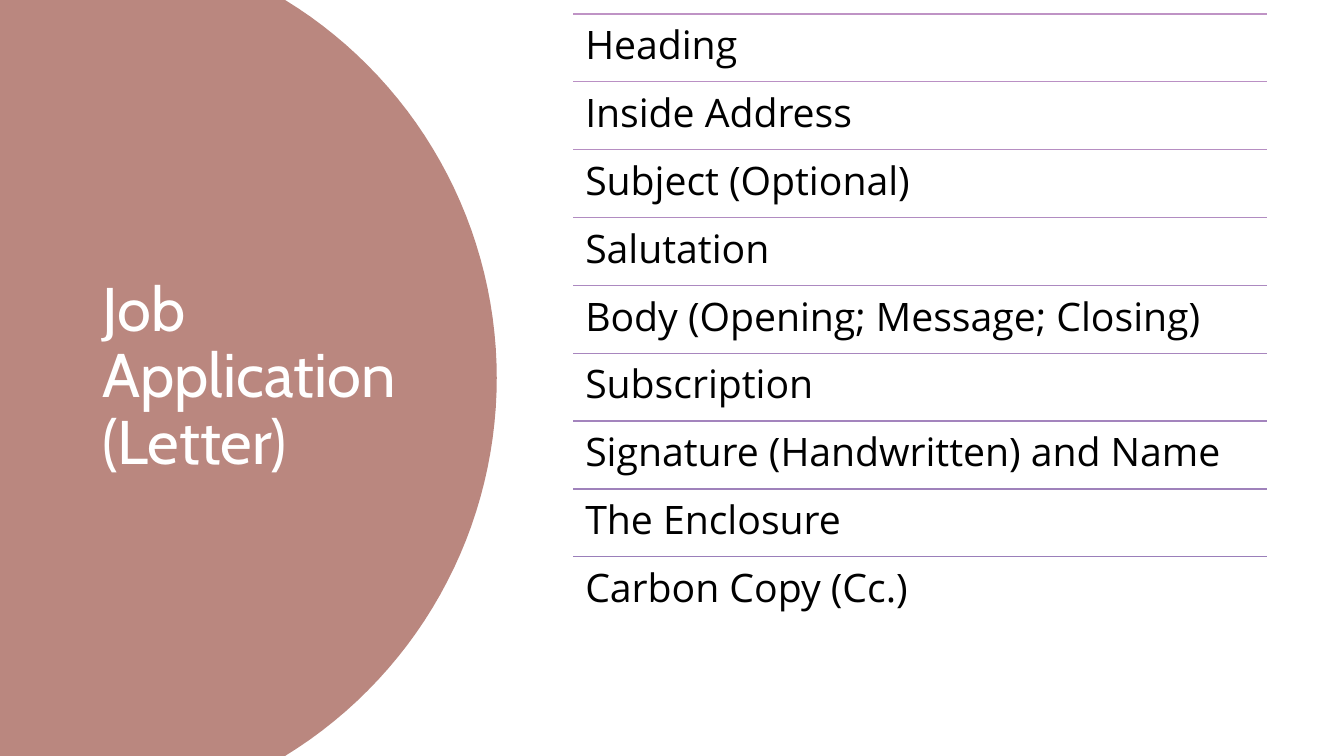
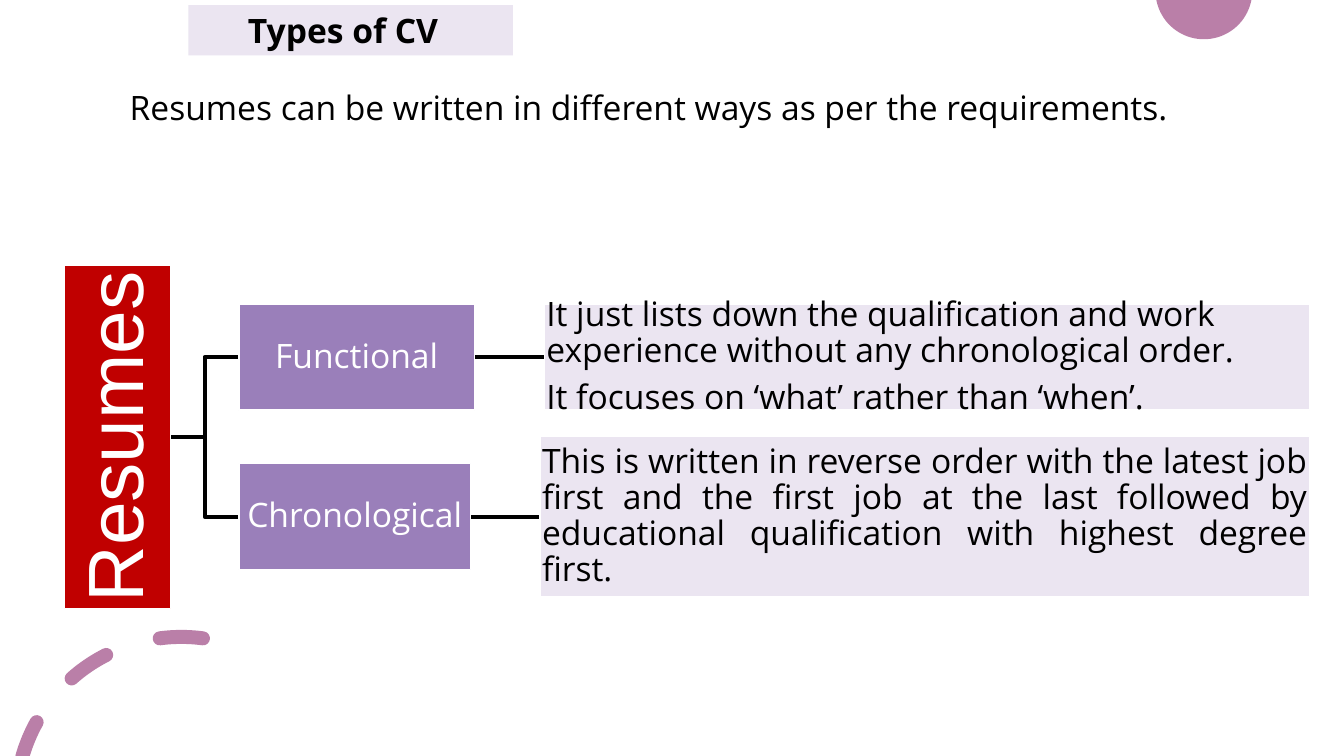
import math

from pptx import Presentation
from pptx.dml.color import RGBColor
from pptx.enum.shapes import MSO_CONNECTOR, MSO_SHAPE
from pptx.enum.text import MSO_ANCHOR, PP_ALIGN
from pptx.oxml.ns import qn
from pptx.util import Cm, Pt
from lxml import etree

RECT = MSO_SHAPE.RECTANGLE
STRAIGHT, ELBOW = MSO_CONNECTOR.STRAIGHT, MSO_CONNECTOR.ELBOW
TOP, MIDDLE = MSO_ANCHOR.TOP, MSO_ANCHOR.MIDDLE
LEFT, CENTER, JUSTIFY = PP_ALIGN.LEFT, PP_ALIGN.CENTER, PP_ALIGN.JUSTIFY

WIDTH, HEIGHT = 33.87, 19.05  # slide size in cm

COLORS = {
    "black": "000000",
    "white": "FFFFFF",
    "clay": "BA877F",
    "mauve": "BA7FA8",
    "purple": "9A7FBA",
    "lilac": "EBE5F1",
    "red": "C00000",
    "rule_first": "BF93C5",
    "rule_last": "9A7FBA",
}

# Each style: font values, paragraph values, text colour
STYLES = {
    "title": ({"name": "Cabin", "size": Pt(44)}, {"line_spacing": 0.9}, "white"),
    "item": ({"name": "Open Sans", "size": Pt(28)}, {"line_spacing": 0.9}, "black"),
    "heading": ({"name": "Open Sans", "size": Pt(24), "bold": True}, {}, "black"),
    "body": ({"name": "Open Sans", "size": Pt(24)}, {}, "black"),
    "root": ({"name": "Arial", "size": Pt(56)},
             {"line_spacing": 0.9, "alignment": CENTER}, "white"),
    "type": ({"name": "Open Sans", "size": Pt(24)},
             {"line_spacing": 0.9, "alignment": CENTER}, "white"),
    "detail": ({"name": "Open Sans", "size": Pt(24)},
               {"line_spacing": 0.9, "space_after": Pt(8)}, "black"),
}


def arc(cx, cy, radius, start, end, steps=60):
    """Points in cm along a circle; angles in degrees, clockwise from the right."""
    angles = [math.radians(start + (end - start) * i / steps) for i in range(steps + 1)]
    return [(cx + radius * math.cos(a), cy + radius * math.sin(a)) for a in angles]


def blend(first, last, share):
    """Hex colour between two hex colours."""
    pairs = [(int(first[i:i + 2], 16), int(last[i:i + 2], 16)) for i in (0, 2, 4)]
    return "".join(f"{round(a + (b - a) * share):02X}" for a, b in pairs)


class Deck:
    def __init__(self):
        self.prs = Presentation()
        self.prs.slide_width, self.prs.slide_height = Cm(WIDTH), Cm(HEIGHT)
        self.s = None

    def slide(self):
        self.s = self.prs.slides.add_slide(self.prs.slide_layouts[6])

    def rgb(self, color):
        return RGBColor.from_string(COLORS.get(color, color))

    def fill_text(self, sp, paragraphs, style, anchor=TOP, inset=(0.25, 0.13), align=LEFT):
        font, para, color = STYLES[style]
        tf = sp.text_frame
        x, y = inset
        frame = {"word_wrap": True, "vertical_anchor": anchor,
                 "margin_left": Cm(x), "margin_right": Cm(min(x, 0.25)),
                 "margin_top": Cm(y), "margin_bottom": Cm(y)}
        for name, value in frame.items():
            setattr(tf, name, value)
        for i, text in enumerate(paragraphs):
            p = tf.add_paragraph() if i else tf.paragraphs[0]
            for name, value in {"alignment": align, **para}.items():
                setattr(p, name, value)
            r = p.add_run()
            r.text = text
            for name, value in font.items():
                setattr(r.font, name, value)
            r.font.color.rgb = self.rgb(color)

    def text(self, x, y, w, h, text, style, **options):
        sp = self.s.shapes.add_textbox(Cm(x), Cm(y), Cm(w), Cm(h))
        self.fill_text(sp, [text], style, **options)

    def box(self, x, y, w, h, fill, paragraphs, style, outline=True, **options):
        sp = self.s.shapes.add_shape(RECT, Cm(x), Cm(y), Cm(w), Cm(h))
        self.paint(sp, fill)
        if outline:
            sp.line.color.rgb = self.rgb("white")
            sp.line.width = Pt(1)
        self.fill_text(sp, paragraphs, style, **options)
        return sp

    def paint(self, sp, fill):
        sp.shadow.inherit = False
        sp.fill.solid()
        sp.fill.fore_color.rgb = self.rgb(fill)
        sp.line.fill.background()

    def outline(self, points, close):
        pts = [(Cm(x), Cm(y)) for x, y in points]
        fb = self.s.shapes.build_freeform(*pts[0])
        fb.add_line_segments(pts[1:], close=close)
        return fb.convert_to_shape()

    def area(self, points, fill):
        self.paint(self.outline(points, True), fill)

    def dash(self, points, color, width):
        sp = self.outline(points, False)
        sp.shadow.inherit = False
        sp.fill.background()
        sp.line.color.rgb = self.rgb(color)
        sp.line.width = Pt(width)
        sp._element.spPr.find(qn("a:ln")).set("cap", "rnd")

    def line(self, x1, y1, x2, y2, color, width, kind=STRAIGHT):
        c = self.s.shapes.add_connector(kind, Cm(x1), Cm(y1), Cm(x2), Cm(y2))
        c.line.color.rgb = self.rgb(color)
        c.line.width = Pt(width)
        etree.SubElement(c._element.spPr, qn("a:effectLst"))

    def decoration(self):
        """Corner circle and dashed arc."""
        cy, radius = -0.23, 1.22
        edge = math.degrees(math.asin(-cy / radius))
        self.area(arc(30.34, cy, radius, edge, 180 - edge), "mauve")
        for start, end in ((196, 209), (228.5, 243), (262.5, 277.5)):
            self.dash(arc(4.57, 20.22, 4.17, start, end, 12), "mauve", 10)


def letter_slide(deck):
    deck.slide()

    # Title on the large disc
    radius = 11.17
    edge = math.degrees(math.asin(HEIGHT / 2 / radius))
    disc = arc(1.35, HEIGHT / 2, radius, -edge, edge)
    deck.area([(0, 0), *disc, (0, HEIGHT)], "clay")
    deck.text(2.33, 1.78, 8.2, 15.47, "Job Application (Letter)", "title", anchor=MIDDLE)

    # Ruled list
    parts = ["Heading", "Inside Address", "Subject (Optional)", "Salutation",
             "Body (Opening; Message; Closing)", "Subscription",
             "Signature (Handwritten) and Name", "The Enclosure", "Carbon Copy (Cc.)"]
    x, top, width, step = 14.45, 0.35, 17.48, 1.71
    for i, part in enumerate(parts):
        y = top + i * step
        color = blend(COLORS["rule_first"], COLORS["rule_last"], i / (len(parts) - 1))
        deck.line(x, y, x + width, y, color, 1)
        deck.text(x, y, width, step, part, "item", inset=(0.3, 0.3))


def resume_slide(deck):
    deck.slide()
    deck.decoration()

    # Heading and introduction
    deck.box(4.75, 0.13, 8.18, 1.27, "lilac", ["Types of CV"], "heading",
             outline=False, inset=(1.5, 0.13))
    deck.text(3.02, 2.06, 30.84, 1.27,
              "Resumes can be written in different ways as per the requirements.", "body")

    # Tree: type, middle, type width, detail left, detail height, alignment, detail
    types = [
        ("Functional", 9.0, 5.94, 13.72, 2.67, LEFT,
         ["It just lists down the qualification and work experience "
          "without any chronological order.",
          "It focuses on ‘what’ rather than ‘when’."]),
        ("Chronological", 13.02, 5.84, 13.61, 4.04, JUSTIFY,
         ["This is written in reverse order with the latest job first and the first job "
          "at the last followed by educational qualification with highest degree first."]),
    ]
    root_x, root_h, bar, type_x, right = 1.63, 8.66, 2.67, 6.02, 33.0
    root_mid = sum(t[1] for t in types) / len(types)
    tight = {"anchor": MIDDLE, "inset": (0.05, 0.05)}

    for name, mid, type_w, detail_x, detail_h, align, detail in types:
        deck.line(root_x + bar, root_mid, type_x, mid, "black", 3, ELBOW)
        deck.line(type_x + type_w, mid, detail_x, mid, "black", 3)
        deck.box(type_x, mid - bar / 2, type_w, bar, "purple", [name], "type", **tight)
        deck.box(detail_x, mid - detail_h / 2, right - detail_x, detail_h, "lilac",
                 detail, "detail", align=align, **tight)

    root = deck.box(root_x, root_mid - root_h / 2, bar, root_h, "red",
                    ["Resumes"], "root", anchor=MIDDLE, inset=(0.1, 0.1))
    root.text_frame._txBody.bodyPr.set("vert", "vert270")


def main():
    deck = Deck()
    letter_slide(deck)
    resume_slide(deck)
    deck.prs.save("out.pptx")


if __name__ == "__main__":
    main()
